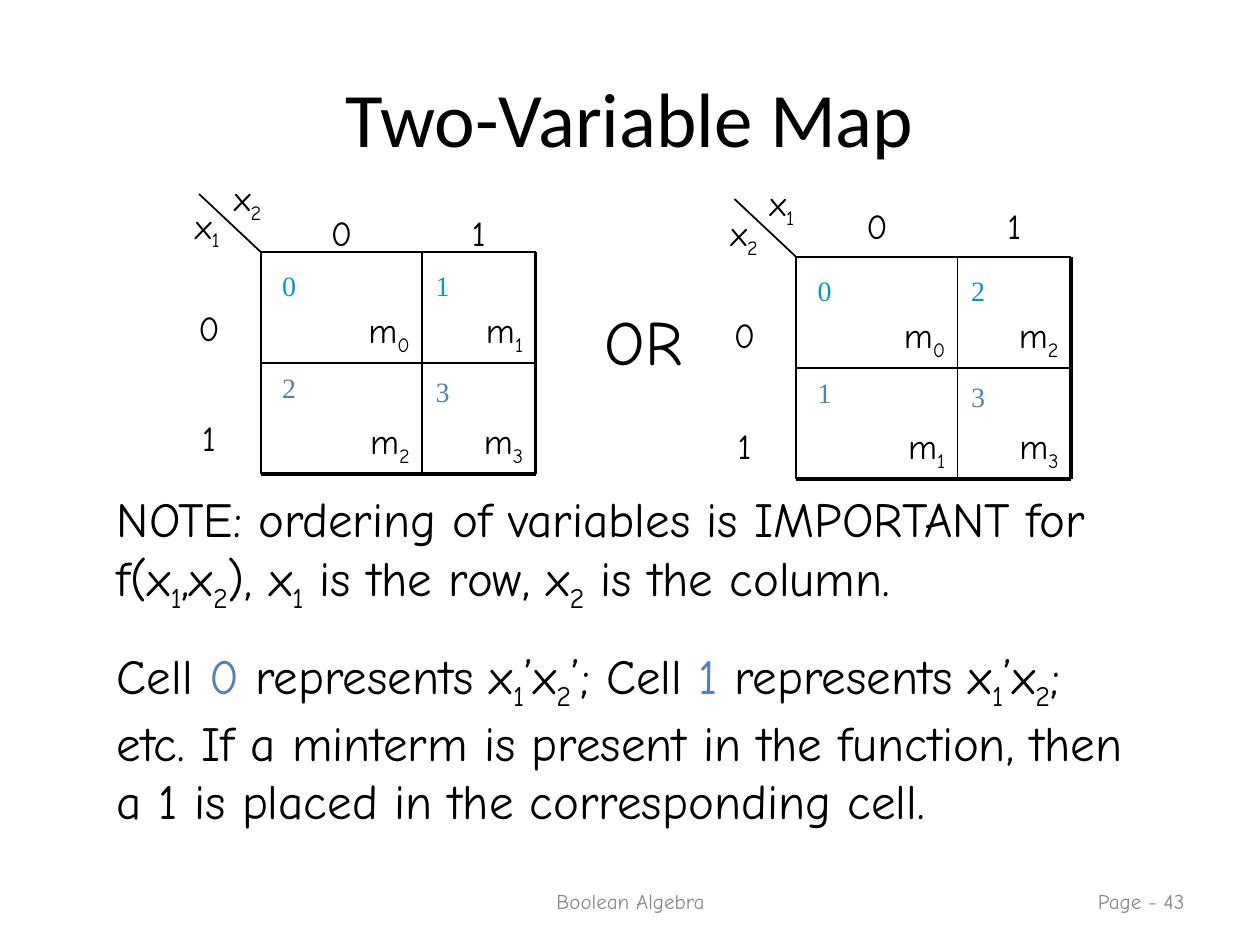
from dataclasses import dataclass
from typing import NamedTuple

import lxml.etree
import pptx
import pptx.dml.color
import pptx.enum.shapes
import pptx.enum.text
import pptx.oxml.ns
import pptx.util

Inches = pptx.util.Inches
LEFT, CENTER, RIGHT = (pptx.enum.text.PP_ALIGN.LEFT, pptx.enum.text.PP_ALIGN.CENTER,
                       pptx.enum.text.PP_ALIGN.RIGHT)
TOP, MIDDLE = pptx.enum.text.MSO_ANCHOR.TOP, pptx.enum.text.MSO_ANCHOR.MIDDLE
BLACK, GREY, CYAN, BLUE = "000000", "898989", "0099CC", "4F81BD"
HAND = "Comic Neue"

# Map geometry in inches
COLUMN_WIDTHS = (1.28, 0.9)
ROW_HEIGHT = 0.88
ROW_LABEL_WIDTH = 0.82
LABEL_DROP = 0.4
LABEL_HEIGHT = 0.48


class Run(NamedTuple):
    text: str
    subscript: bool = False
    color: str = BLACK


@dataclass
class VariableMap:
    left: float
    top: float
    row_variable: str
    column_variable: str
    minterms: tuple[tuple[str, str], tuple[str, str]]
    header_top: float
    row_label_top: float
    row_variable_top: float


def rgb(value: str) -> pptx.dml.color.RGBColor:
    return pptx.dml.color.RGBColor.from_string(value)


def indexed(letter: str, index: str) -> list[Run]:
    return [Run(letter), Run(index, subscript=True)]


def add_text(slide, left: float, top: float, width: float, height: float,
             paragraphs: list[list[Run]], size: float, align=LEFT, font: str = HAND,
             anchor=TOP, wrap: bool = True, gap: float = 0) -> None:
    frame = slide.shapes.add_textbox(Inches(left), Inches(top),
                                     Inches(width), Inches(height)).text_frame
    frame.word_wrap = wrap
    frame.vertical_anchor = anchor
    for number, runs in enumerate(paragraphs):
        paragraph = frame.add_paragraph() if number else frame.paragraphs[0]
        paragraph.alignment = align
        paragraph.space_before = pptx.util.Pt(gap if number else 0)
        for part in runs:
            run = paragraph.add_run()
            run.text = part.text
            run.font.size = pptx.util.Pt(size)
            run.font.name = font
            run.font.color.rgb = rgb(part.color)
            if part.subscript:
                run.font._element.set("baseline", "-25000")


def add_line(slide, x1: float, y1: float, x2: float, y2: float, weight: float = 1) -> None:
    line = slide.shapes.add_connector(pptx.enum.shapes.MSO_CONNECTOR.STRAIGHT,
                                      Inches(x1), Inches(y1), Inches(x2), Inches(y2))
    line.line.color.rgb = rgb(BLACK)
    line.line.width = pptx.util.Pt(weight)
    lxml.etree.SubElement(line._element.spPr, pptx.oxml.ns.qn("a:effectLst"))


def add_label(slide, left: float, top: float, width: float, runs: list[Run], align) -> None:
    add_text(slide, left, top + LABEL_DROP, width, LABEL_HEIGHT, [runs], 20, align)


def draw_map(slide, kmap: VariableMap) -> None:
    xs = [kmap.left, kmap.left + COLUMN_WIDTHS[0], kmap.left + sum(COLUMN_WIDTHS)]
    ys = [kmap.top + row * ROW_HEIGHT for row in range(3)]

    # Grid, with heavy right and bottom edges, and the corner diagonal
    for x in xs:
        add_line(slide, x, ys[0], x, ys[-1], 2.25 if x == xs[-1] else 1)
    for y in ys:
        add_line(slide, xs[0], y, xs[-1], y, 2.25 if y == ys[-1] else 1)
    add_line(slide, xs[0] - 0.49, ys[0] - 0.46, xs[0], ys[0])

    # Variable names and their values
    add_label(slide, xs[0] - 0.62, kmap.row_variable_top, ROW_LABEL_WIDTH,
              indexed("x", kmap.row_variable), LEFT)
    add_text(slide, xs[0] - 0.31, ys[0] - 0.65, 0.6, 0.48,
             [indexed("x", kmap.column_variable)], 20)
    for value in range(2):
        add_label(slide, xs[value], kmap.header_top, COLUMN_WIDTHS[value],
                  [Run(str(value))], CENTER)
        add_label(slide, xs[0] - ROW_LABEL_WIDTH, kmap.row_label_top + value * ROW_HEIGHT,
                  ROW_LABEL_WIDTH, [Run(str(value))], CENTER)

    # Cell numbers and minterms
    for row, minterms in enumerate(kmap.minterms):
        for column, minterm in enumerate(minterms):
            add_label(slide, xs[column], ys[row], COLUMN_WIDTHS[column],
                      indexed("m", minterm), RIGHT)
            number_left = xs[column] + (0.01 if column else 0.07)
            number_top = ys[row] + (0.01 + 0.03 * column if row else 0.08)
            add_text(slide, number_left, number_top, 0.31, 0.37,
                     [[Run(minterm, color=BLUE if row else CYAN)]], 16,
                     font="Times New Roman", wrap=False)


def main() -> None:
    deck = pptx.Presentation()
    deck.slide_width, deck.slide_height = Inches(10), Inches(7.5)
    slide = deck.slides.add_slide(deck.slide_layouts[6])

    # Title and footer
    add_text(slide, 0.5, 0.3, 9, 1.25, [[Run("Two-Variable Map")]], 44, CENTER,
             "Calibri", MIDDLE)
    add_text(slide, 3.42, 6.95, 3.17, 0.4, [[Run("Boolean Algebra", color=GREY)]], 12,
             CENTER, anchor=MIDDLE)
    add_text(slide, 7.17, 6.95, 2.33, 0.4, [[Run("Page - 43", color=GREY)]], 12,
             RIGHT, anchor=MIDDLE)

    # The two orderings of the map
    draw_map(slide, VariableMap(2.07, 2, "1", "2", (("0", "1"), ("2", "3")),
                                header_top=1.23, row_label_top=1.98, row_variable_top=1.17))
    draw_map(slide, VariableMap(6.32, 2.04, "2", "1", (("0", "2"), ("1", "3")),
                                header_top=1.17, row_label_top=2.04, row_variable_top=1.23))
    add_text(slide, 4.7, 2.35, 0.82, 0.7, [[Run("OR")]], 36, wrap=False)

    # Explanation
    ordering = [Run("NOTE: ordering of variables is IMPORTANT for f("),
                *indexed("x", "1"), *indexed(",x", "2"), *indexed("), x", "1"),
                *indexed(" is the row, x", "2"), Run(" is the column.")]
    cells = [Run("Cell "), Run("0", color=BLUE),
             *indexed(" represents x", "1"), *indexed("’x", "2"),
             Run("’; Cell "), Run("1", color=BLUE),
             *indexed(" represents x", "1"), *indexed("’x", "2"),
             Run("; etc. If a minterm is present in the function, then a 1 is placed"
                 " in the corresponding cell.")]
    add_text(slide, 0.83, 3.83, 8.33, 2.81, [ordering, cells], 28, gap=17.5)

    deck.save("out.pptx")


if __name__ == "__main__":
    main()
